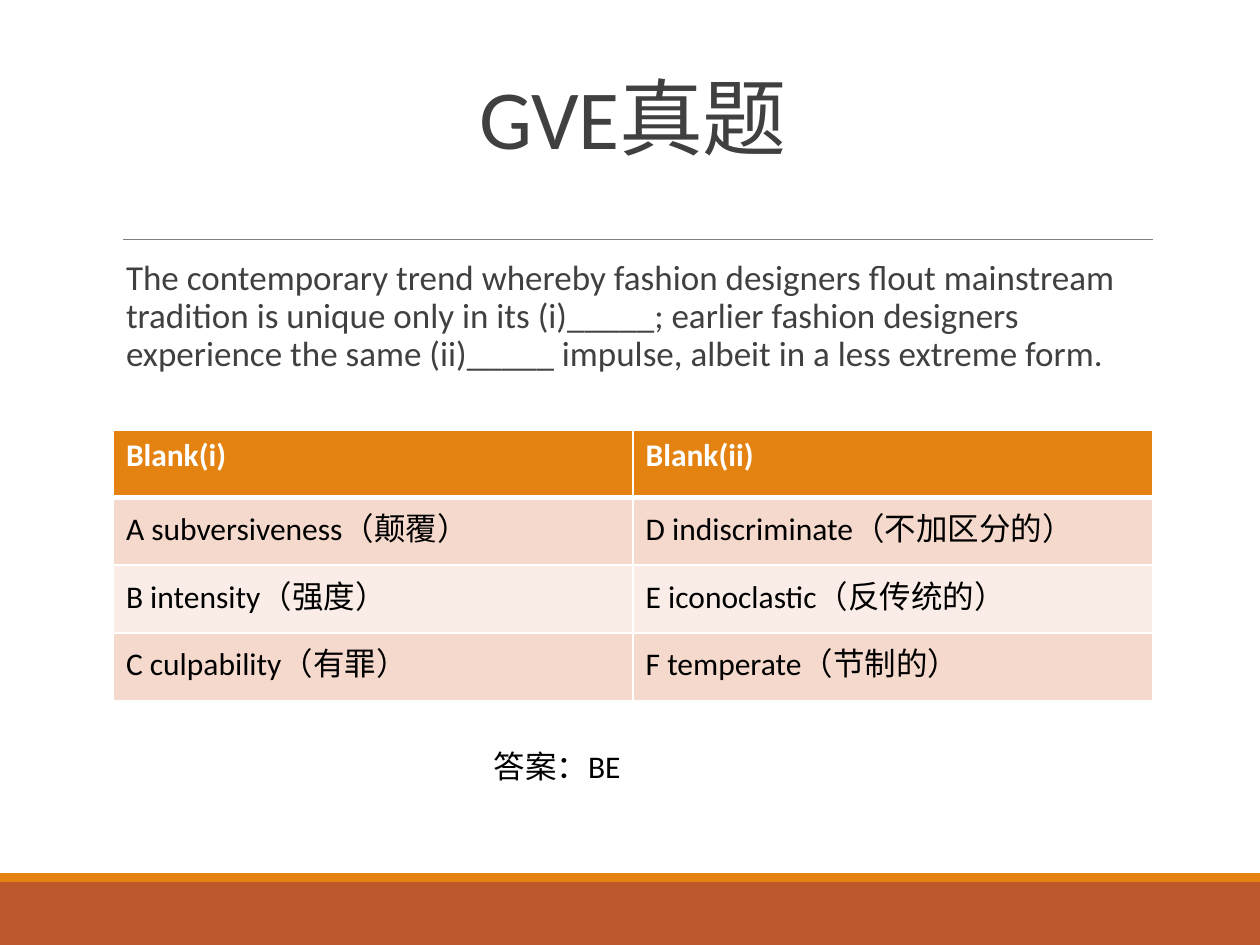
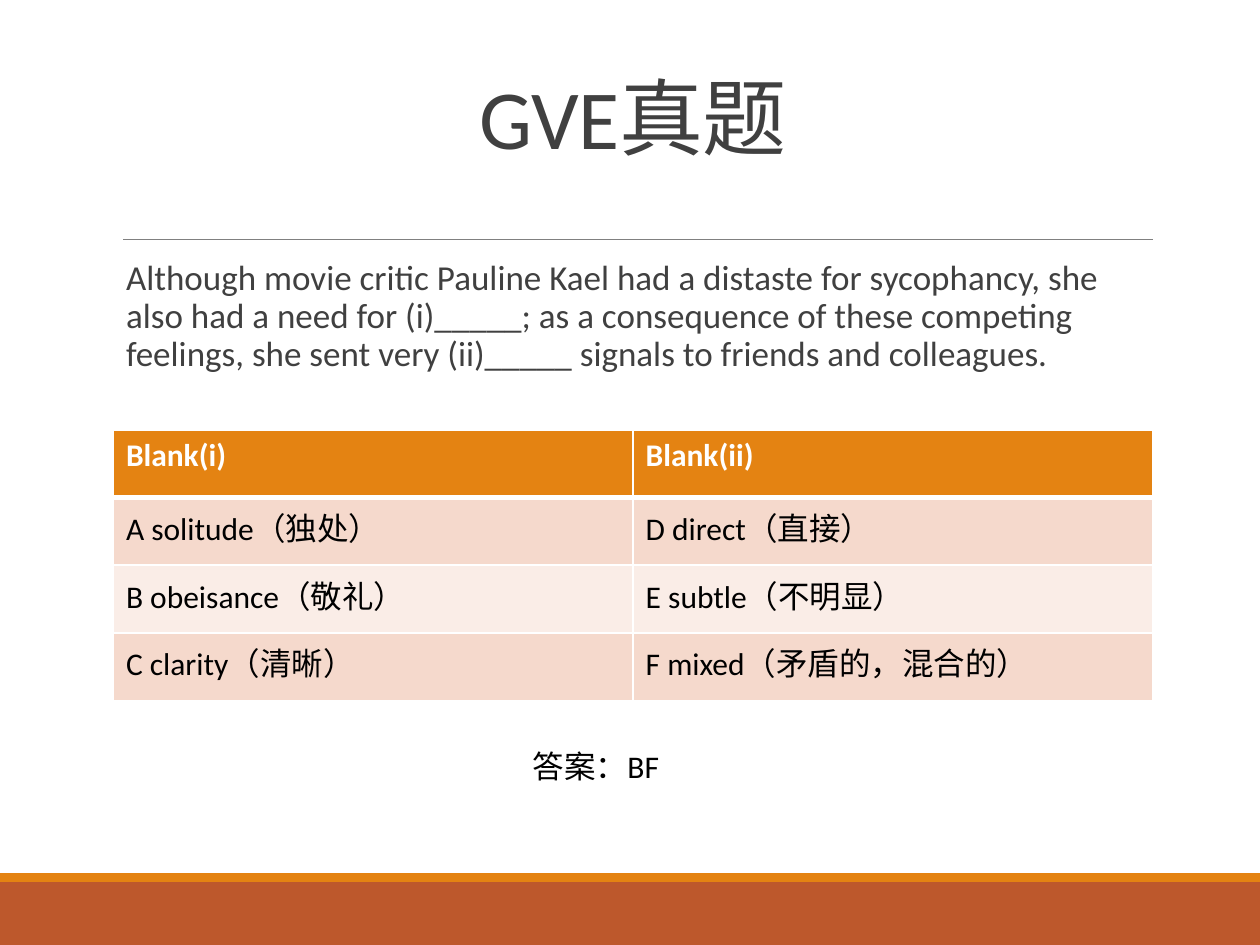
"""Build two fill-in-the-blank exam slides, each with a question, an options table and an answer."""
from lxml import etree
from pptx import Presentation
from pptx.dml.color import RGBColor
from pptx.enum import shapes, text
from pptx.oxml import ns
from pptx.util import Pt

ORANGE, RUST, GREY, WHITE = "E48312", "BD582C", "404040", "FFFFFF"
ROW_FILLS = [ORANGE, "F5D9CC", "FAEDE7", "F5D9CC"]
LEFT, WIDTH = 64.8, 594
HEADER = ("Blank(i)", "Blank(ii)")
QUESTIONS = [
    ("The contemporary trend whereby fashion designers flout mainstream tradition is unique "
     "only in its (i)_____; earlier fashion designers experience the same (ii)_____ impulse, "
     "albeit in a less extreme form.",
     [("A subversiveness（颠覆）", "D indiscriminate（不加区分的）"),
      ("B intensity（强度）", "E iconoclastic（反传统的）"),
      ("C culpability（有罪）", "F temperate（节制的）")],
     "答案：BE", 275, 170),
    ("Although movie critic Pauline Kael had a distaste for sycophancy, she also had a need "
     "for (i)_____; as a consequence of these competing feelings, she sent very (ii)_____ "
     "signals to friends and colleagues.",
     [("A solitude（独处）", "D direct（直接）"),
      ("B obeisance（敬礼）", "E subtle（不明显）"),
      ("C clarity（清晰）", "F mixed（矛盾的，混合的）")],
     "答案：BF", 297.5, 158.4),
]


def rgb(color):
    return RGBColor.from_string(color)


def add_run(p, words, size, color, bold=False):
    r = p.add_run()
    r.text = words
    r.font.name, r.font.size, r.font.bold = "Calibri", Pt(size), bold
    r.font.color.rgb = rgb(color)
    return r


prs = Presentation()
prs.slide_width, prs.slide_height = Pt(720), Pt(540)

for question, options, answer, answer_left, answer_width in QUESTIONS:
    s = prs.slides.add_slide(prs.slide_layouts[1])
    s.background.fill.solid()
    s.background.fill.fore_color.rgb = rgb(WHITE)

    for top, height, color in [(504, 36, RUST), (499, 5, ORANGE)]:
        band = s.shapes.add_shape(shapes.MSO_SHAPE.RECTANGLE, 0, Pt(top), Pt(720), Pt(height))
        band.shadow.inherit = False
        band.fill.solid()
        band.fill.fore_color.rgb = rgb(color)
        band.line.fill.background()

    rule = s.shapes.add_connector(shapes.MSO_CONNECTOR.STRAIGHT, Pt(70.5), Pt(136.8), Pt(658.8), Pt(136.8))
    rule.line.color.rgb = rgb("808080")
    rule.line.width = Pt(0.5)
    etree.SubElement(rule._element.spPr, ns.qn("a:effectLst"))

    title, body = s.shapes.title, s.placeholders[1]
    title.left, title.top, title.width, title.height = Pt(LEFT), Pt(22.5), Pt(WIDTH), Pt(76.5)
    tf = title.text_frame
    tf.auto_size = text.MSO_AUTO_SIZE.NONE
    tf.vertical_anchor = text.MSO_ANCHOR.BOTTOM
    p = tf.paragraphs[0]
    p.alignment, p.line_spacing = text.PP_ALIGN.CENTER, 0.85
    r = add_run(p, "GVE真题", 48, GREY)
    r.font._element.set("spc", "-50")

    body.left, body.top, body.width, body.height = Pt(LEFT), Pt(145.4), Pt(WIDTH), Pt(316.8)
    tf = body.text_frame
    tf.auto_size = text.MSO_AUTO_SIZE.NONE
    tf.margin_left = tf.margin_right = 0
    p = tf.paragraphs[0]
    p.line_spacing, p.space_before, p.space_after = 0.9, Pt(12), Pt(2)
    pPr = p._p.get_or_add_pPr()
    pPr.set("marL", str(Pt(7.2)))
    pPr.set("indent", str(Pt(-7.2)))
    bullet_color = etree.SubElement(pPr, ns.qn("a:buClr"))
    etree.SubElement(bullet_color, ns.qn("a:srgbClr"), val=ORANGE)
    etree.SubElement(pPr, ns.qn("a:buChar"), char=" ")
    add_run(p, question, 20, GREY)

    rows = [HEADER] + options
    table = s.shapes.add_table(len(rows), 2, Pt(LEFT), Pt(245.6), Pt(WIDTH), Pt(154.8)).table
    for i, row in enumerate(rows):
        table.rows[i].height = Pt(38.7)
        for j, words in enumerate(row):
            cell = table.cell(i, j)
            tcPr = cell._tc.get_or_add_tcPr()
            for side in "LRTB":
                thick = (i, side) in [(0, "B"), (1, "T")]
                ln = etree.SubElement(tcPr, ns.qn("a:ln" + side), w=str(Pt(3 if thick else 1)))
                fill = etree.SubElement(ln, ns.qn("a:solidFill"))
                etree.SubElement(fill, ns.qn("a:srgbClr"), val=WHITE)
            cell.fill.solid()
            cell.fill.fore_color.rgb = rgb(ROW_FILLS[i])
            add_run(cell.text_frame.paragraphs[0], words, 18, "000000" if i else WHITE, i == 0)

    box = s.shapes.add_textbox(Pt(answer_left), Pt(423.4), Pt(answer_width), Pt(29))
    tf = box.text_frame
    tf.word_wrap = True
    tf.auto_size = text.MSO_AUTO_SIZE.SHAPE_TO_FIT_TEXT
    add_run(tf.paragraphs[0], answer, 18, "000000")

prs.save("out.pptx")
